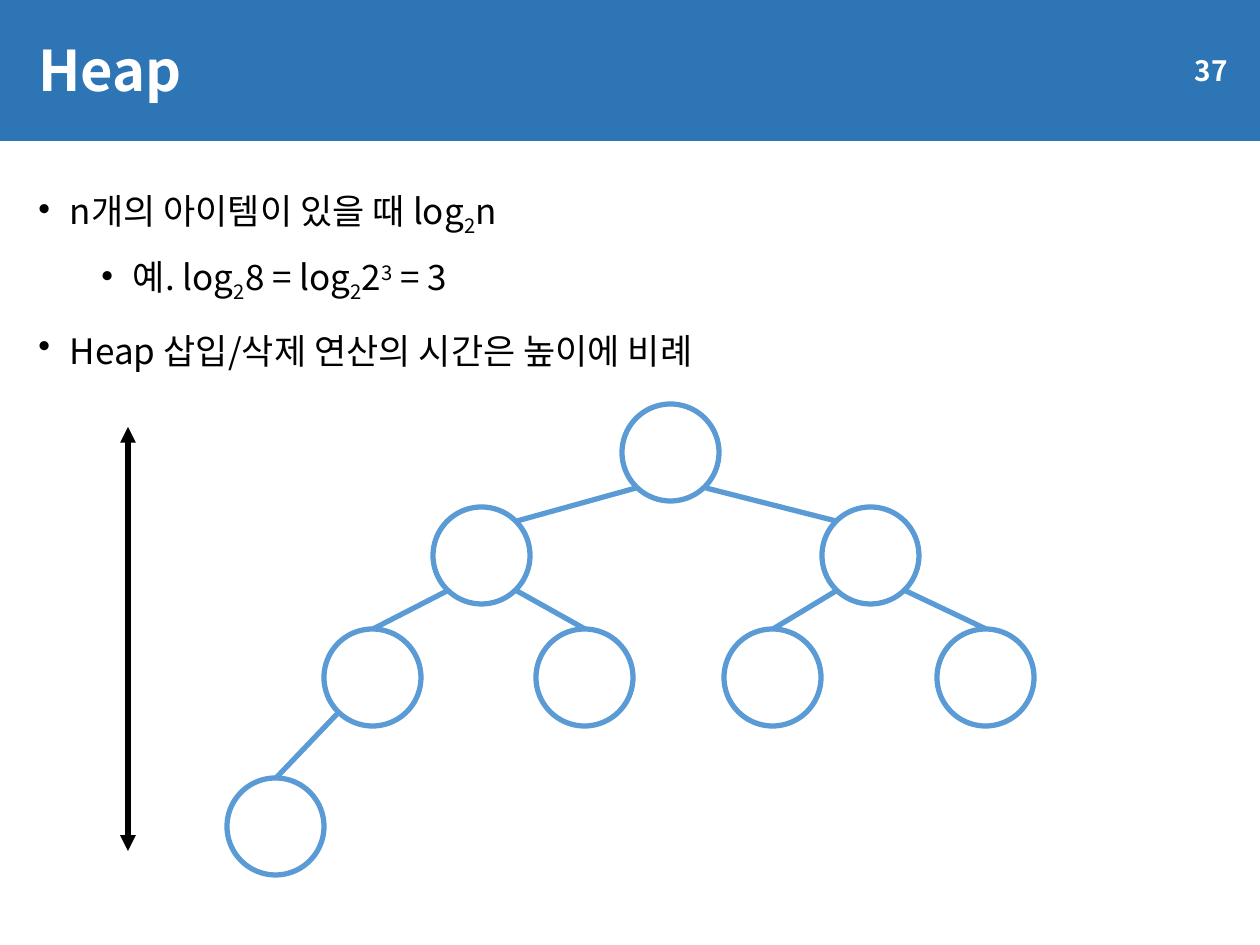
from lxml import etree
from pptx import Presentation
from pptx.dml.color import RGBColor
from pptx.enum.shapes import MSO_CONNECTOR, MSO_SHAPE
from pptx.enum.text import MSO_ANCHOR, MSO_AUTO_SIZE, PP_ALIGN
from pptx.oxml.ns import qn
from pptx.util import Pt

RECT, OVAL = MSO_SHAPE.RECTANGLE, MSO_SHAPE.OVAL
LINE = MSO_CONNECTOR.STRAIGHT
MIDDLE, NO_FIT = MSO_ANCHOR.MIDDLE, MSO_AUTO_SIZE.NONE
LEFT, RIGHT = PP_ALIGN.LEFT, PP_ALIGN.RIGHT

SCALE = 914400 / 126
FONT = "Noto Sans CJK KR"
COLORS = {"band": "2E75B6", "node": "5B9BD5", "white": "FFFFFF", "black": "000000"}
SUB, SUP = -25000, 30000
SIZE, HALF, REACH = 97, 49, 35
ROWS = [(404, [622]), (507, [433, 822]), (629, [324, 536, 724, 937]), (778, [227])]
POINTS = [
    (0, 0, [("n개의 아이템이 있을 때 log", 0), ("2", SUB), ("n", 0)]),
    (1, 5, [("예. log", 0), ("2", SUB), ("8 = log", 0), ("2", SUB),
            ("2", 0), ("3", SUP), (" = 3", 0)]),
    (0, 10, [("Heap 삽입/삭제 연산의 시간은 높이에 비례", 0)]),
]


def px(num):
    """Turn pixels into EMU."""
    return round(num * SCALE)


def rgb(name):
    """Look up a colour by name."""
    return RGBColor.from_string(COLORS[name])


def apply(item, **values):
    """Set each value as an attribute of the item."""
    for name, value in values.items():
        setattr(item, name, value)


def add_run(para, text, size, color, bold=False, base=0):
    """Add a run in the slide font, raised or lowered by base."""
    run = para.add_run()
    run.text = text
    apply(run.font, name=FONT, size=Pt(size), bold=bold)
    run.font.color.rgb = rgb(color)
    props = run._r.get_or_add_rPr()
    etree.SubElement(props, qn("a:ea"), typeface=FONT)
    if base:
        props.set("baseline", str(base))


def add_shape(slide, kind, box, fill, line=None):
    """Add a flat preset shape."""
    shape = slide.shapes.add_shape(kind, *map(px, box))
    shape.shadow.inherit = False
    shape.fill.solid()
    shape.fill.fore_color.rgb = rgb(fill)
    if line:
        shape.line.color.rgb = rgb(line)
        shape.line.width = Pt(3)
    else:
        shape.line.fill.background()
    return shape


def add_line(slide, color, ends):
    """Add a straight line without shadow."""
    line = slide.shapes.add_connector(LINE, *map(px, ends))
    line.line.color.rgb = rgb(color)
    line.line.width = Pt(3)
    etree.SubElement(line._element.spPr, qn("a:effectLst"))
    return line


def add_label(shape, text, size, align):
    """Write one bold white line in the middle of a shape."""
    frame = shape.text_frame
    apply(frame, vertical_anchor=MIDDLE, word_wrap=True, auto_size=NO_FIT)
    para = frame.paragraphs[0]
    para.alignment = align
    add_run(para, text, size, "white", bold=True)


def add_head(slide):
    """Add the band, the title and the page number."""
    band = add_shape(slide, RECT, (0, 0, 1260, 141), "band")
    slide.shapes._spTree.insert(2, band._element)
    title = slide.shapes.title
    apply(title, left=px(26), top=px(16), width=px(1212), height=px(107))
    title.fill.solid()
    title.fill.fore_color.rgb = rgb("band")
    add_label(title, "Heap", 32, LEFT)
    page = add_shape(slide, RECT, (1070, 45, 170, 50), "band")
    add_label(page, "37", 16, RIGHT)


def add_points(slide):
    """Add the bullet list."""
    box = slide.shapes.add_textbox(*map(px, (26, 174, 1212, 751)))
    frame = box.text_frame
    frame.word_wrap = True
    for idx, (level, before, parts) in enumerate(POINTS):
        para = frame.add_paragraph() if idx else frame.paragraphs[0]
        apply(para, level=level, line_spacing=1.2, space_before=Pt(before))
        props = para._p.get_or_add_pPr()
        props.set("marL", str(Pt(18 + 36 * level)))
        props.set("indent", str(-Pt(18)))
        etree.SubElement(props, qn("a:buChar"), char="•")
        for text, base in parts:
            add_run(para, text, 20, "black", base=base)


def add_edge(slide, node, parent, depth, side):
    """Link the rim of a node to the lower rim of its parent."""
    (left, top), (over, above) = node, parent
    shift, rise = (side * REACH, REACH) if depth == 1 else (0, HALF)
    add_line(slide, "node", (left + HALF + shift, top + HALF - rise,
                             over + HALF - side * REACH, above + HALF + REACH))


def add_tree(slide):
    """Add the nodes row by row and link each to its parent."""
    nodes = []
    for depth, (top, lefts) in enumerate(ROWS):
        for left in lefts:
            idx = len(nodes)
            nodes.append((left, top))
            add_shape(slide, OVAL, (left, top, SIZE, SIZE), "white", "node")
            if idx:
                side = 1 if idx % 2 else -1
                add_edge(slide, nodes[idx], nodes[(idx - 1) // 2], depth, side)


def add_height(slide):
    """Add the double arrow that marks the height."""
    arrow = add_line(slide, "black", (128, 427, 128, 851))
    for tag in ("a:headEnd", "a:tailEnd"):
        etree.SubElement(arrow.line._get_or_add_ln(), qn(tag), type="triangle")


def main():
    """Build the slide and save it."""
    deck = Presentation()
    apply(deck, slide_width=px(1260), slide_height=px(945))
    slide = deck.slides.add_slide(deck.slide_layouts[5])
    add_head(slide)
    add_points(slide)
    add_tree(slide)
    add_height(slide)
    deck.save("out.pptx")


if __name__ == "__main__":
    main()
